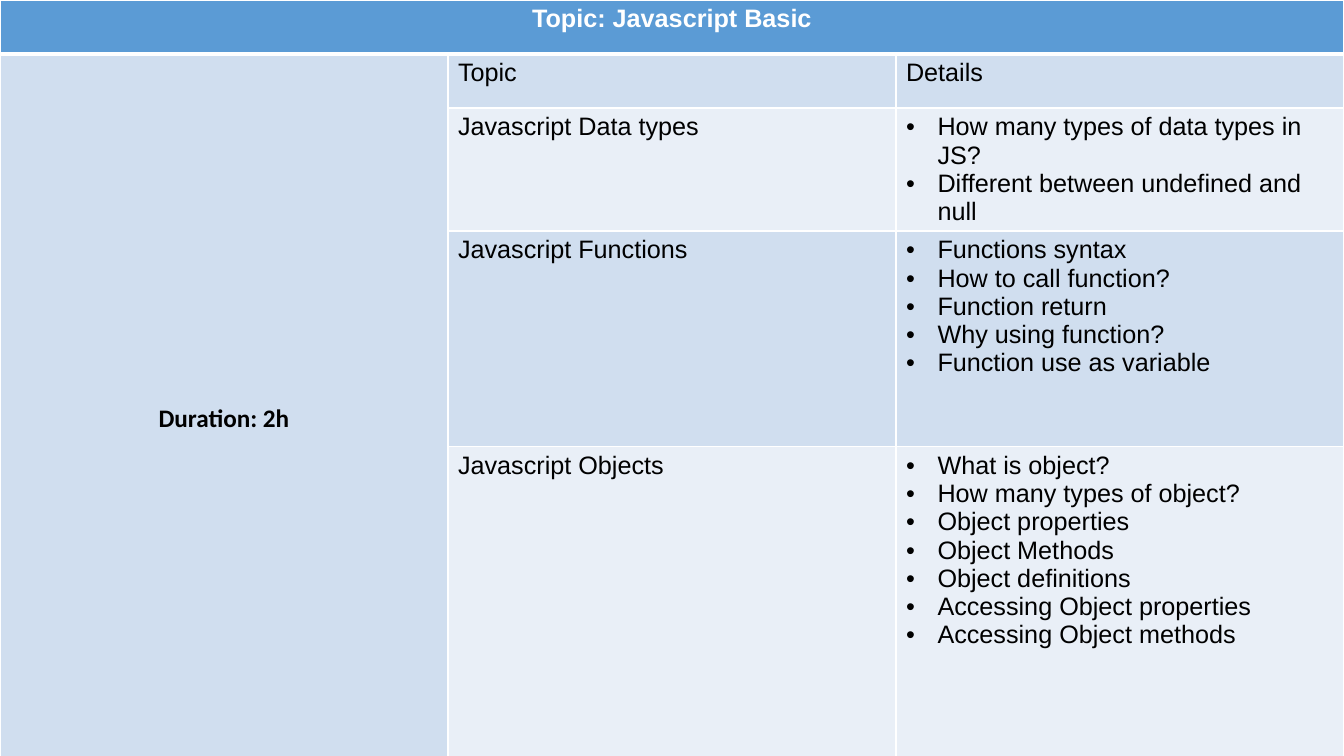
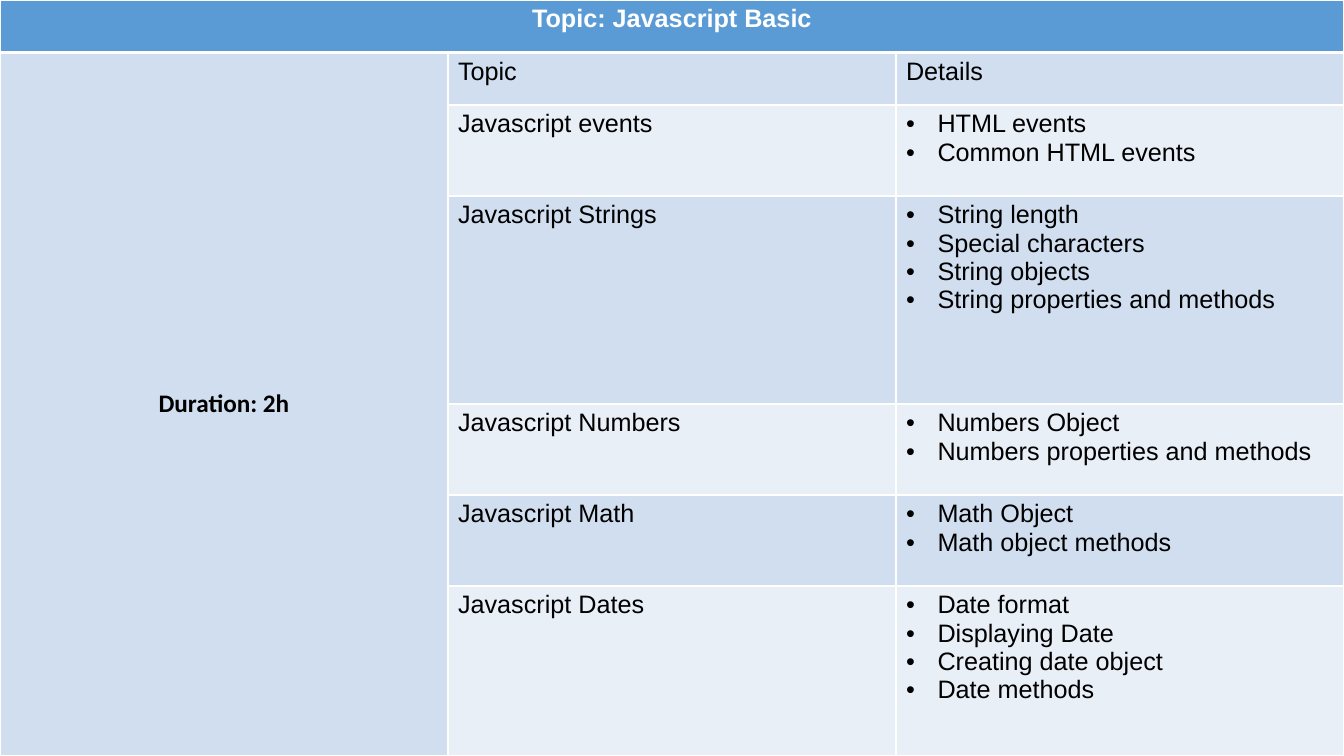
from dataclasses import dataclass

from pptx import Presentation
from pptx.dml.color import RGBColor
from pptx.enum.text import MSO_ANCHOR, PP_ALIGN
from pptx.oxml import parse_xml
from pptx.oxml.ns import nsdecls
from pptx.util import Pt


@dataclass(frozen=True)
class Theme:
    header: str = "5B9BD5"
    dark_band: str = "D0DEEF"
    light_band: str = "E9EFF7"
    rule: str = "FFFFFF"
    header_text: str = "FFFFFF"
    text: str = "000000"
    font: str = "Arial"
    duration_font: str = "Calibri"
    size: float = 18
    thin: float = 1
    thick: float = 3
    indent: float = 22.5


THEME = Theme()
WIDTH, HEIGHT = 960, 540
COLUMNS = 3
TITLE = "Topic: Javascript Basic"
DURATION = "Duration: 2h"
HEADINGS = ("Topic", ["Details"])

LESSONS = [
    (
        [38.6, 38.6, 67.6, 154, 241.2],
        [
            ("Javascript Data types", [
                "How many types of data types in JS?",
                "Different between undefined and null",
            ]),
            ("Javascript Functions", [
                "Functions syntax",
                "How to call function?",
                "Function return",
                "Why using function?",
                "Function use as variable",
            ]),
            ("Javascript Objects", [
                "What is object?",
                "How many types of object?",
                "Object properties",
                "Object Methods",
                "Object definitions",
                "Accessing Object properties",
                "Accessing Object methods",
            ]),
        ],
    ),
    (
        [37.5, 37.5, 65, 148.6, 65, 65, 121.4],
        [
            ("Javascript events", ["HTML events", "Common HTML events"]),
            ("Javascript Strings", [
                "String length",
                "Special characters",
                "String objects",
                "String properties and methods",
            ]),
            ("Javascript Numbers", ["Numbers Object", "Numbers properties and methods"]),
            ("Javascript Math", ["Math Object", "Math object methods"]),
            ("Javascript Dates", [
                "Date format",
                "Displaying Date",
                "Creating date object",
                "Date methods",
            ]),
        ],
    ),
]


def add_bullet(para):
    properties = para._p.get_or_add_pPr()
    properties.set("marL", str(Pt(THEME.indent)))
    properties.set("indent", str(-Pt(THEME.indent)))
    for xml in (
        f'<a:buClr {nsdecls("a")}><a:srgbClr val="{THEME.text}"/></a:buClr>',
        f'<a:buFont {nsdecls("a")} typeface="{THEME.font}"/>',
        f'<a:buChar {nsdecls("a")} char="•"/>',
    ):
        properties.append(parse_xml(xml))


def write_cell(cell, lines, bullets=False, color=THEME.text, font=THEME.font,
               bold=False, align=PP_ALIGN.LEFT):
    frame = cell.text_frame
    frame.text = "\n".join(lines)
    for para in frame.paragraphs:
        if bullets:
            add_bullet(para)
        para.alignment = align
        para.font.name = font
        para.font.size = Pt(THEME.size)
        para.font.bold = bold
        para.font.color.rgb = RGBColor.from_string(color)


def style_cell(cell, row):
    bands = (THEME.light_band, THEME.dark_band)
    cell.fill.solid()
    cell.fill.fore_color.rgb = RGBColor.from_string(bands[row % 2] if row else THEME.header)
    widths = {
        "lnL": THEME.thin,
        "lnR": THEME.thin,
        "lnT": THEME.thick if row == 1 else THEME.thin,
        "lnB": THEME.thick if row == 0 else THEME.thin,
    }
    properties = cell._tc.get_or_add_tcPr()
    for position, (edge, width) in enumerate(widths.items()):
        properties.insert(position, parse_xml(
            f'<a:{edge} {nsdecls("a")} w="{Pt(width)}"><a:solidFill>'
            f'<a:srgbClr val="{THEME.rule}"/></a:solidFill></a:{edge}>'))


def add_lesson_table(page, heights, topics):
    table = page.shapes.add_table(
        len(heights), COLUMNS, 0, 0, Pt(WIDTH), Pt(HEIGHT)).table
    table.first_row = False
    table.horz_banding = False
    for column in table.columns:
        column.width = Pt(WIDTH / COLUMNS)
    for index, height in enumerate(heights):
        table.rows[index].height = Pt(height)
        for cell in table.rows[index].cells:
            style_cell(cell, index)

    title = table.cell(0, 0)
    title.merge(table.cell(0, COLUMNS - 1))
    write_cell(title, [TITLE], color=THEME.header_text, bold=True, align=PP_ALIGN.CENTER)

    duration = table.cell(1, 0)
    duration.merge(table.cell(len(heights) - 1, 0))
    duration.vertical_anchor = MSO_ANCHOR.MIDDLE
    write_cell(duration, [DURATION], font=THEME.duration_font, bold=True,
               align=PP_ALIGN.CENTER)

    for row, (topic, details) in enumerate([HEADINGS, *topics], start=1):
        write_cell(table.cell(row, 1), [topic])
        write_cell(table.cell(row, 2), details, bullets=row > 1)


def main():
    deck = Presentation()
    deck.slide_width = Pt(WIDTH)
    deck.slide_height = Pt(HEIGHT)
    blank = deck.slide_layouts[6]
    for heights, topics in LESSONS:
        add_lesson_table(deck.slides.add_slide(blank), heights, topics)
    deck.save("out.pptx")


if __name__ == "__main__":
    main()
